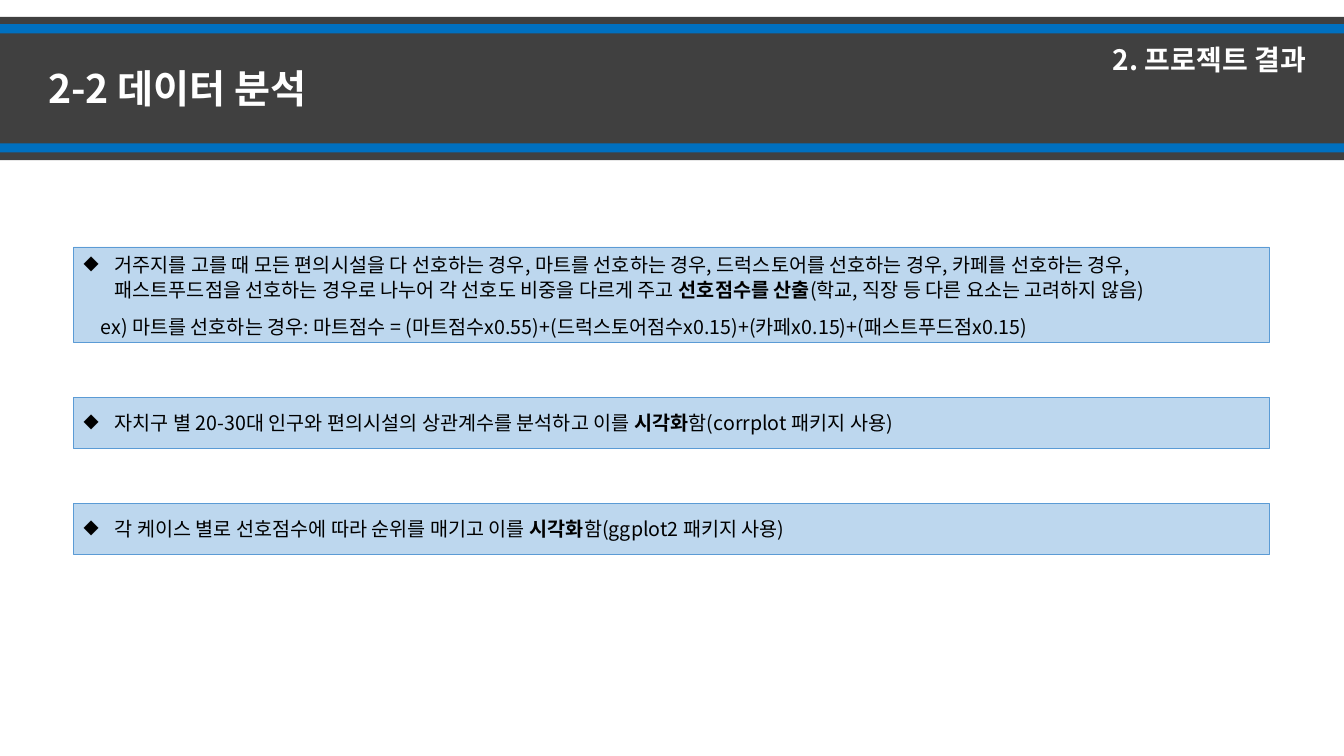
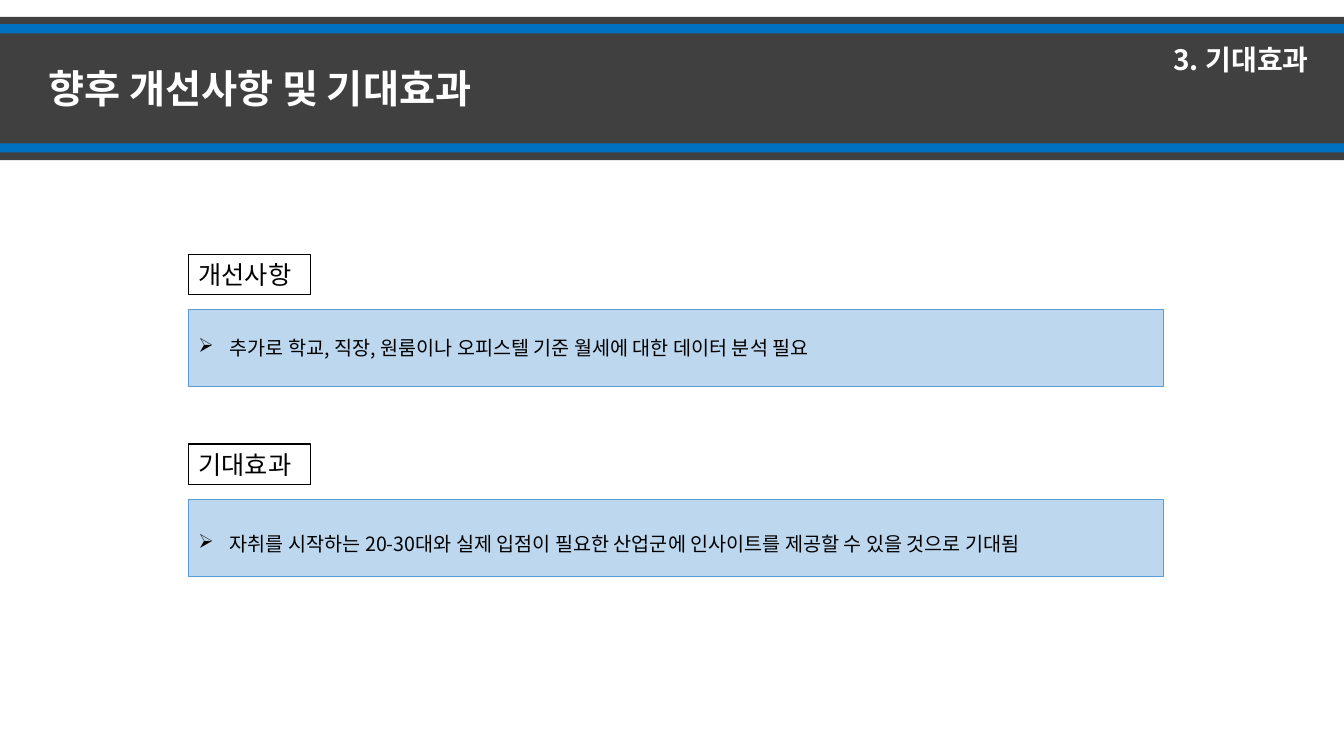
from lxml.etree import SubElement
from pptx import Presentation
from pptx.dml.color import RGBColor
from pptx.enum.shapes import MSO_SHAPE
from pptx.enum.text import MSO_ANCHOR, MSO_AUTO_SIZE, PP_ALIGN
from pptx.oxml.ns import qn
from pptx.util import Inches, Pt

# Shared look
FONT = "Noto Sans CJK KR"
WHITE = RGBColor(0xFF, 0xFF, 0xFF)
BLACK = RGBColor(0x00, 0x00, 0x00)
CHARCOAL = RGBColor(0x40, 0x40, 0x40)
STRIPE_BLUE = RGBColor(0x00, 0x70, 0xC0)
PALE_BLUE = RGBColor(0xBD, 0xD7, 0xEE)
EDGE_BLUE = RGBColor(0x5B, 0x9B, 0xD5)
WIDTH, HEIGHT = Inches(13.33), Inches(7.5)
HANG = Inches(0.31)


def place(left, top, width, height):
    """Turn percentages of the slide into left, top, width, height."""
    return [int(side * share / 100) for side, share in
            ((WIDTH, left), (HEIGHT, top), (WIDTH, width), (HEIGHT, height))]


def add_rect(shapes, area, fill=None, line=None, weight=0.5):
    sp = shapes.add_shape(MSO_SHAPE.RECTANGLE, *place(*area))
    sp.shadow.inherit = False
    if fill is None:
        sp.fill.background()
    else:
        sp.fill.solid()
        sp.fill.fore_color.rgb = fill
    if line is None:
        sp.line.fill.background()
    else:
        sp.line.color.rgb = line
        sp.line.width = Pt(weight)
    return sp


def add_run(p, text, size, color=BLACK, bold=False):
    r = p.add_run()
    r.text = text
    r.font.size = Pt(size)
    r.font.bold = bold
    r.font.color.rgb = color
    r.font.name = FONT
    SubElement(r.font._element, qn("a:ea"), typeface=FONT)


def indent(p, margin, first=0, bullet=None):
    pPr = p._p.get_or_add_pPr()
    pPr.set("marL", str(margin))
    pPr.set("indent", str(first))
    if bullet:
        SubElement(pPr, qn("a:buChar"), char=bullet)


def fit_line(sp, text, size, color, bold=False):
    """Put one unwrapped line into a shape that fits its text."""
    tf = sp.text_frame
    tf.word_wrap = False
    tf.auto_size = MSO_AUTO_SIZE.SHAPE_TO_FIT_TEXT
    tf.vertical_anchor = MSO_ANCHOR.TOP
    p = tf.paragraphs[0]
    p.alignment = PP_ALIGN.LEFT
    add_run(p, text, size, color, bold)


def add_panel(s, area, bullet, runs, spacing=None, after=None):
    """Blue box with one bulleted paragraph; odd runs are bold."""
    tf = add_rect(s.shapes, area, PALE_BLUE, EDGE_BLUE).text_frame
    tf.word_wrap = True
    tf.vertical_anchor = MSO_ANCHOR.MIDDLE
    p = tf.paragraphs[0]
    indent(p, HANG, -HANG, bullet)
    format_panel_text(p, runs, spacing, after)
    return tf


def format_panel_text(p, runs, spacing, after):
    p.alignment = PP_ALIGN.LEFT
    if spacing:
        p.line_spacing = spacing
    if after:
        p.space_after = Pt(after)
    for i, text in enumerate(runs):
        add_run(p, text, 14, bold=i % 2 == 1)


def add_slide(prs, title, title_width, chapter, chapter_left, chapter_width):
    """Blank slide with the header band, title and chapter name."""
    s = prs.slides.add_slide(prs.slide_layouts[6])
    band = s.shapes.add_group_shape()
    add_rect(band.shapes, (0, 2.25, 100, 18.95), CHARCOAL)
    for top in (18.95, 3.2):
        add_rect(band.shapes, (0, top, 100, 1.2), STRIPE_BLUE)
    for area, text, size in (
            ((chapter_left, 4.93, chapter_width, 5.87), chapter, 20),
            ((2.85, 7.87, title_width, 7.6), title, 28)):
        fit_line(s.shapes.add_textbox(*place(*area)), text, size, WHITE, True)
    return s


def build_analysis(prs):
    s = add_slide(prs, "2-2 데이터 분석", 22.95, "2. 프로젝트 결과", 82.07, 17.4)
    panels = [
        (12.67, 1.07, 8, [
            "거주지를 고를 때 모든 편의시설을 다 선호하는 경우, 마트를 선호하는 경우, "
            "드럭스토어를 선호하는 경우, 카페를 선호하는 경우, 패스트푸드점을 선호하는 "
            "경우로 나누어 각 선호도 비중을 다르게 주고 ",
            "선호점수를 산출", "(학교, 직장 등 다른 요소는 고려하지 않음)"]),
        (6.8, None, None, [
            "자치구 별 20-30대 인구와 편의시설의 상관계수를 분석하고 이를 ",
            "시각화", "함(corrplot 패키지 사용)"]),
        (6.8, None, None, [
            "각 케이스 별로 선호점수에 따라 순위를 매기고 이를 ",
            "시각화", "함(ggplot2 패키지 사용)"]),
    ]
    # Panels stacked with equal gaps
    top, gap = 32.67, 7.2
    frames = []
    for height, spacing, after, runs in panels:
        area = (5.48, top, 88.97, height)
        frames.append(add_panel(s, area, "◆", runs, spacing, after))
        top += height + gap

    # Worked example under the first bullet
    p = frames[0].add_paragraph()
    indent(p, Inches(0.17))
    example = ("ex) 마트를 선호하는 경우: 마트점수 = (마트점수x0.55)+"
               "(드럭스토어점수x0.15)+(카페x0.15)+(패스트푸드점x0.15)")
    format_panel_text(p, [example], 1.07, 8)


def build_outlook(prs):
    s = add_slide(prs, "향후 개선사항 및 기대효과", 37.05, "3. 기대효과", 86.57, 12.45)
    sections = [
        ("개선사항", None,
         "추가로 학교, 직장, 원룸이나 오피스텔 기준 월세에 대한 데이터 분석 필요"),
        ("기대효과", 1.5,
         "자취를 시작하는 20-30대와 실제 입점이 필요한 산업군에 인사이트를 "
         "제공할 수 있을 것으로 기대됨"),
    ]
    # Each section: outlined label above its panel
    for i, (label, spacing, text) in enumerate(sections):
        top = 33.6 + 25.13 * i
        add_panel(s, (14.03, top + 7.3, 72.54, 10.27), "➢", [text], spacing)
        tag = add_rect(s.shapes, (14.03, top, 9.08, 5.4), line=BLACK, weight=0.75)
        fit_line(tag, label, 18, BLACK)


def main():
    prs = Presentation()
    prs.slide_width, prs.slide_height = WIDTH, HEIGHT
    build_analysis(prs)
    build_outlook(prs)
    prs.save("out.pptx")


if __name__ == "__main__":
    main()
